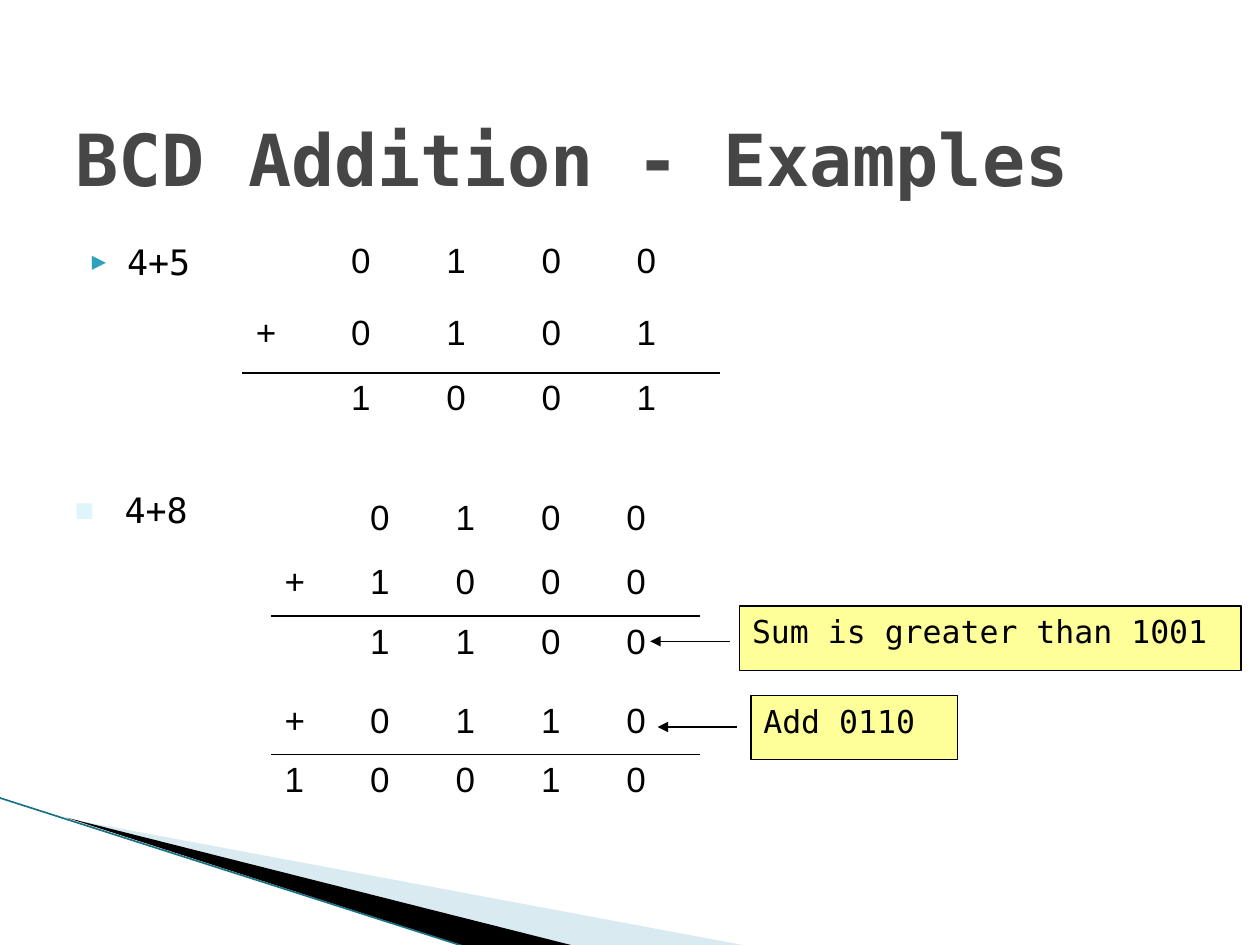
from lxml.etree import SubElement
from pptx import Presentation
from pptx.dml.color import RGBColor
from pptx.enum.shapes import MSO_CONNECTOR as CONNECTOR, MSO_SHAPE as SHAPE
from pptx.enum.text import MSO_ANCHOR as ANCHOR, PP_ALIGN as ALIGN
from pptx.oxml import parse_xml
from pptx.oxml.ns import nsdecls, qn
from pptx.util import Inches, Pt

BLACK = RGBColor(0, 0, 0)
GREY = RGBColor(0x46, 0x46, 0x46)
TEAL = RGBColor(0x1A, 0x72, 0x86)
PALE_BLUE = RGBColor(0xD9, 0xEA, 0xF1)
YELLOW = RGBColor(0xFF, 0xFF, 0x99)
MONO, SANS = "DejaVu Sans Mono", "Arial"

# Swoosh outlines at the bottom left, back to front
SWOOSHES = [
    (PALE_BLUE, [(0.55, 6.5), (5.95, 7.51), (4.56, 7.51)]),
    (BLACK, [(0.53, 6.49), (4.57, 7.51), (3.72, 7.52)]),
]
SWOOSH_EDGE = ((-0.01, 6.33), (3.71, 7.52))

TITLE = ("BCD Addition - Examples", (0.5, 0.5, 9, 1.5))
# text, box, bullet (character, colour, size %), left indent, hanging indent
PROBLEMS = [
    ("4+5", (0.51, 1.86, 4.42, 4.25), ("▶", "2DA2BF", 68), 0.4, 0.28),
    ("4+8", (0.51, 3.83, 4.42, 1.02), ("■", "DEF5FA", 75), 0.38, 0.38),
]
# left, top, column width, row heights, digits; the last row is the sum
SUMS = [
    (1.93, 1.87, 0.756, (0.57, 0.52, 0.57), (" 0100", "+0101", " 1001")),
    (2.16, 3.91, 0.678, (0.51, 0.47, 0.51), (" 0100", "+1000", " 1100")),
    (2.16, 5.52, 0.678, (0.47, 0.51), ("+0110", "10010")),
]
# text, box, arrow start x, arrow end x, arrow y
NOTES = [
    ("Sum is greater than 1001", (5.87, 4.81, 3.98, 0.51), 5.79, 5.16, 5.09),
    ("Add 0110", (5.96, 5.52, 1.64, 0.51), 5.85, 5.22, 5.77),
]


def write(frame, text, font=MONO, size=20, color=BLACK, bold=False,
          anchor=ANCHOR.TOP, before=0):
    frame.word_wrap = True
    frame.vertical_anchor = anchor
    paragraph = frame.paragraphs[0]
    paragraph.alignment = ALIGN.LEFT
    paragraph.space_before = Pt(before)
    run = paragraph.add_run()
    run.text = text
    run.font.name, run.font.size, run.font.bold = font, Pt(size), bold
    run.font.color.rgb = color
    return paragraph


def add_bullet(paragraph, bullet, left, hanging):
    character, color, percent = bullet
    properties = paragraph._p.get_or_add_pPr()
    properties.set("marL", str(Inches(left)))
    properties.set("indent", str(-Inches(hanging)))
    bullet_color = SubElement(properties, qn("a:buClr"))
    SubElement(bullet_color, qn("a:srgbClr"), val=color)
    SubElement(properties, qn("a:buSzPct"), val=str(percent * 1000))
    SubElement(properties, qn("a:buFont"), typeface=MONO)
    SubElement(properties, qn("a:buChar"), char=character)


def add_line(shapes, start, end, color=BLACK, width=0.75, arrow=False):
    line = shapes.add_connector(CONNECTOR.STRAIGHT, *map(Inches, start + end))
    line.line.color.rgb = color
    line.line.width = Pt(width)
    if arrow:
        SubElement(line.line._get_or_add_ln(), qn("a:tailEnd"), type="triangle")
    SubElement(line._element.spPr, qn("a:effectLst"))


def add_swoosh(shapes, color, points):
    corners = [(Inches(x), Inches(y)) for x, y in points]
    builder = shapes.build_freeform(*corners[0])
    builder.add_line_segments(corners[1:], close=True)
    shape = builder.convert_to_shape()
    shape.shadow.inherit = False
    shape.fill.solid()
    shape.fill.fore_color.rgb = color
    shape.line.fill.background()


def add_border(cell, side):
    cell._tc.get_or_add_tcPr().insert(0, parse_xml(
        f'<a:{side} {nsdecls("a")} w="12700"><a:solidFill>'
        f'<a:srgbClr val="{BLACK}"/></a:solidFill></a:{side}>'))


def add_sum(shapes, left, top, column_width, heights, rows):
    """Add a binary sum with a rule above its last row."""
    columns, last = len(rows[0]), len(rows) - 1
    table = shapes.add_table(
        len(rows), columns, Inches(left), Inches(top),
        Inches(column_width * columns), Inches(sum(heights))).table
    table.first_row = table.horz_banding = False
    for column in table.columns:
        column.width = Inches(column_width)
    for r, (height, digits) in enumerate(zip(heights, rows)):
        table.rows[r].height = Inches(height)
        for c, digit in enumerate(digits):
            cell = table.cell(r, c)
            cell.fill.background()
            if digit != " ":
                write(cell.text_frame, digit, font=SANS, before=4)
            if r >= last - 1:
                add_border(cell, "lnT" if r == last else "lnB") if r in (last - 1, last) else None


def add_note(shapes, text, box, start_x, end_x, y):
    note = shapes.add_shape(SHAPE.RECTANGLE, *map(Inches, box))
    note.shadow.inherit = False
    note.fill.solid()
    note.fill.fore_color.rgb = YELLOW
    note.line.color.rgb = BLACK
    note.line.width = Pt(0.75)
    write(note.text_frame, text, size=18)
    add_line(shapes, (start_x, y), (end_x, y), arrow=True)


def main():
    presentation = Presentation()
    presentation.slide_width, presentation.slide_height = Inches(10), Inches(7.5)
    slide = presentation.slides.add_slide(presentation.slide_layouts[6])
    shapes = slide.shapes

    for color, points in SWOOSHES:
        add_swoosh(shapes, color, points)
    add_line(shapes, *SWOOSH_EDGE, color=TEAL, width=0.95)

    text, box = TITLE
    write(shapes.add_textbox(*map(Inches, box)).text_frame, text,
          size=41, color=GREY, bold=True, anchor=ANCHOR.MIDDLE)
    for text, box, bullet, left, hanging in PROBLEMS:
        frame = shapes.add_textbox(*map(Inches, box)).text_frame
        add_bullet(write(frame, text, before=4), bullet, left, hanging)
    for binary_sum in SUMS:
        add_sum(shapes, *binary_sum)
    for note in NOTES:
        add_note(shapes, *note)

    presentation.save("out.pptx")


if __name__ == "__main__":
    main()
